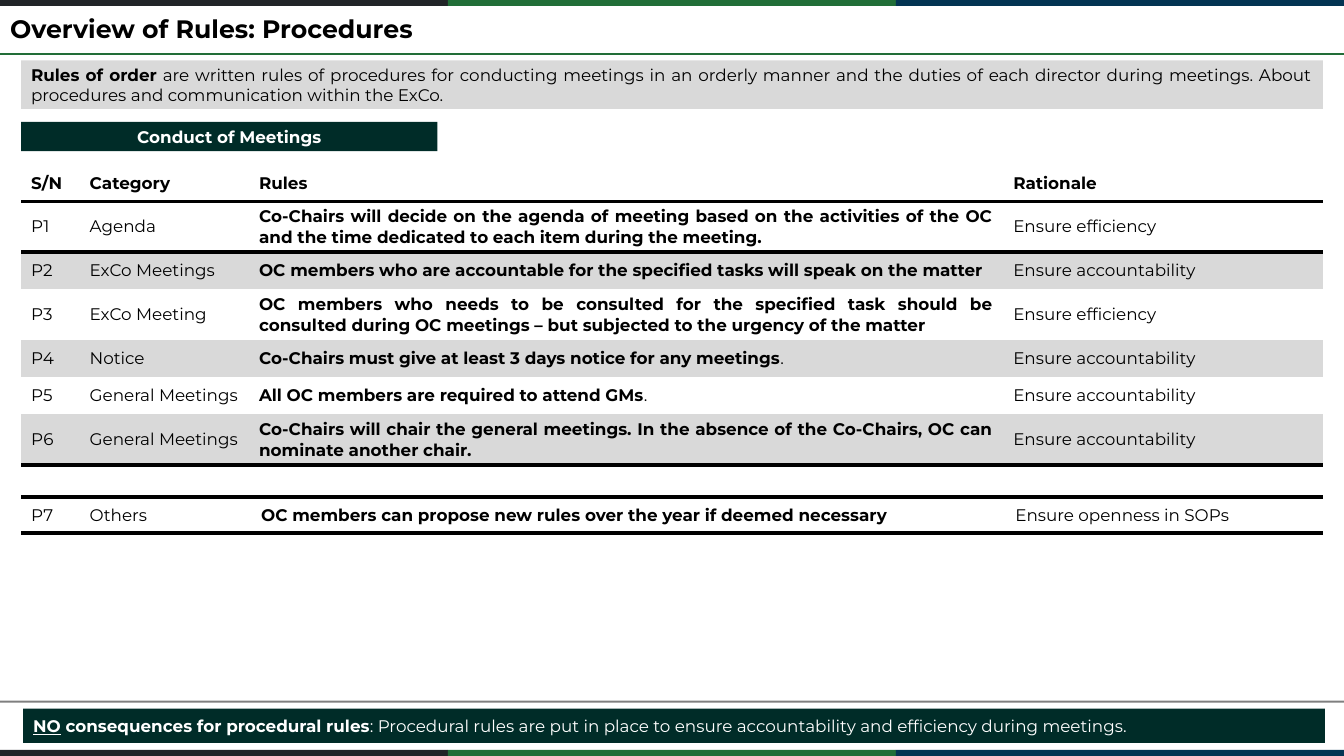
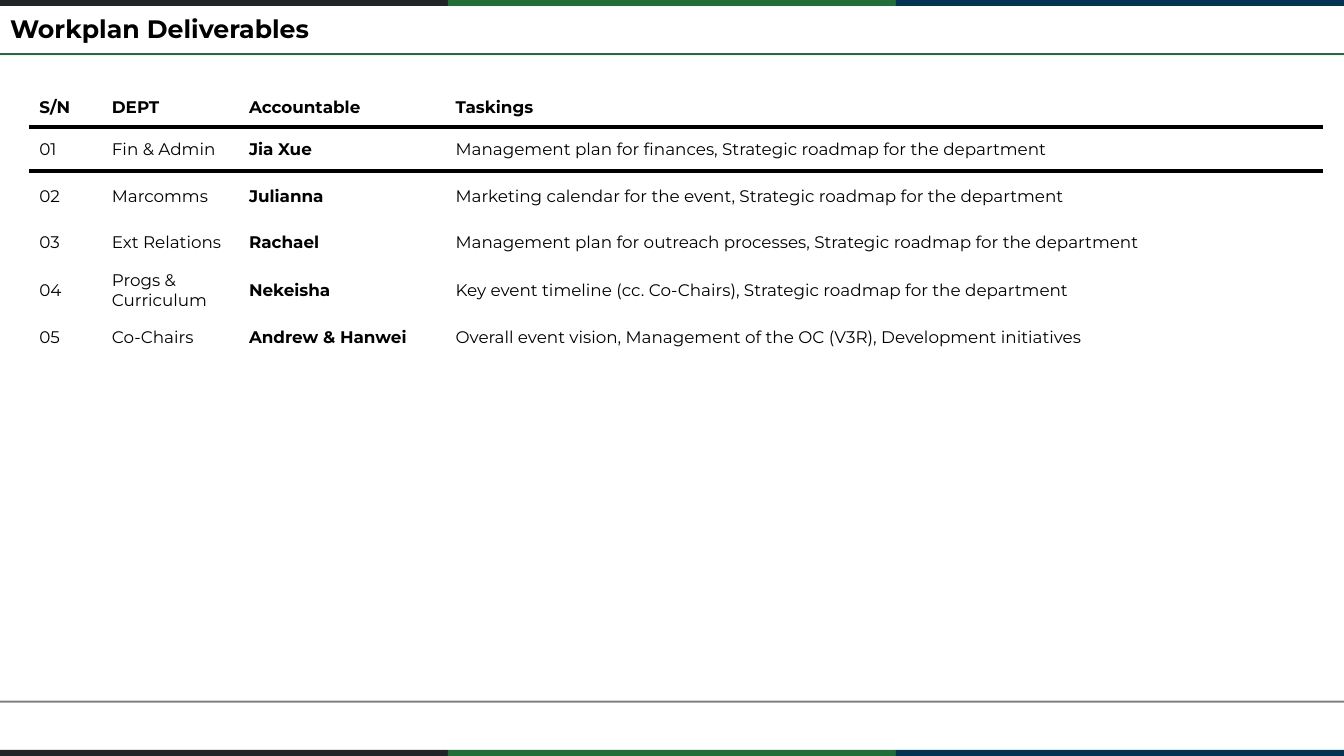
from lxml import etree
from pptx import Presentation
from pptx.dml.color import RGBColor
from pptx.enum.shapes import MSO_CONNECTOR, MSO_SHAPE
from pptx.enum.text import MSO_ANCHOR, PP_ALIGN
from pptx.oxml import parse_xml
from pptx.oxml.ns import nsdecls, qn
from pptx.util import Inches, Pt

RECTANGLE = MSO_SHAPE.RECTANGLE
STRAIGHT = MSO_CONNECTOR.STRAIGHT
MIDDLE = MSO_ANCHOR.MIDDLE
LEFT, CENTER, JUSTIFY = PP_ALIGN.LEFT, PP_ALIGN.CENTER, PP_ALIGN.JUSTIFY

BLACK = RGBColor(0x00, 0x00, 0x00)
WHITE = RGBColor(0xFF, 0xFF, 0xFF)
CHARCOAL = RGBColor(0x21, 0x25, 0x28)
GREEN = RGBColor(0x21, 0x6E, 0x38)
NAVY = RGBColor(0x03, 0x34, 0x53)
RULE_GREEN = RGBColor(0x22, 0x6D, 0x38)
DARK_GREEN = RGBColor(0x00, 0x2C, 0x28)
GREY = RGBColor(0xD9, 0xD9, 0xD9)

FONT = "Montserrat"
SLIDE_WIDTH, SLIDE_HEIGHT = 13.33, 7.5
BAND_HEIGHT = 0.06
PLAIN_TABLE_STYLE = "{2D5ABB26-0587-4C30-8999-92F81FD0307C}"
BOLD_COLUMN = 2

PROCEDURES = [
    ("S/N", "Category", "Rules", "Rationale"),
    ("P1", "Agenda",
     "Co-Chairs will decide on the agenda of meeting based on the activities of the OC "
     "and the time dedicated to each item during the meeting.", "Ensure efficiency"),
    ("P2", "ExCo Meetings",
     "OC members who are accountable for the specified tasks will speak on the matter",
     "Ensure accountability"),
    ("P3", "ExCo Meeting",
     "OC members who needs to be consulted for the specified task should be consulted "
     "during OC meetings – but subjected to the urgency of the matter", "Ensure efficiency"),
    ("P4", "Notice",
     [("Co-Chairs must give at least 3 days notice for any meetings", True), (".", False)],
     "Ensure accountability"),
    ("P5", "General Meetings",
     [("All OC members are required to attend GMs", True), (".", False)],
     "Ensure accountability"),
    ("P6", "General Meetings",
     "Co-Chairs will chair the general meetings. In the absence of the Co-Chairs, OC can "
     "nominate another chair.", "Ensure accountability"),
]
OTHER_PROCEDURES = [
    ("P7", "Others", "OC members can propose new rules over the year if deemed necessary",
     "Ensure openness in SOPs"),
]
DELIVERABLES = [
    ("S/N", "DEPT", "Accountable", "Taskings"),
    ("01", "Fin & Admin", "Jia Xue",
     "Management plan for finances, Strategic roadmap for the department"),
    ("02", "Marcomms", "Julianna",
     "Marketing calendar for the event, Strategic roadmap for the department"),
    ("03", "Ext Relations", "Rachael",
     "Management plan for outreach processes, Strategic roadmap for the department"),
    ("04", "Progs & Curriculum", "Nekeisha",
     "Key event timeline (cc. Co-Chairs), Strategic roadmap for the department"),
    ("05", "Co-Chairs", "Andrew & Hanwei",
     "Overall event vision, Management of the OC (V3R), Development initiatives"),
]


# Shared drawing helpers
def write_runs(paragraph, runs, color=BLACK, size=12, align=LEFT):
    """Add (text, bold[, underline]) runs to a paragraph."""
    paragraph.alignment = align
    for text, bold, *underline in runs:
        run = paragraph.add_run()
        run.text = text
        run.font.name = FONT
        run.font.size = Pt(size)
        run.font.bold = bold
        run.font.color.rgb = color
        if underline:
            run.font.underline = underline[0]


def add_bar(slide, left, top, width, height, fill, runs=(), color=BLACK, align=JUSTIFY):
    shape = slide.shapes.add_shape(
        RECTANGLE, Inches(left), Inches(top), Inches(width), Inches(height))
    shape.shadow.inherit = False
    shape.fill.solid()
    shape.fill.fore_color.rgb = fill
    shape.line.fill.background()
    if runs:
        frame = shape.text_frame
        frame.word_wrap = True
        frame.vertical_anchor = MIDDLE
        write_runs(frame.paragraphs[0], runs, color, align=align)


def add_rule(slide, top, color, opacity=100):
    rule = slide.shapes.add_connector(
        STRAIGHT, 0, Inches(top), Inches(SLIDE_WIDTH), Inches(top))
    rule.line.color.rgb = color
    rule.line.width = Pt(1.5)
    properties = rule._element.spPr
    if opacity < 100:
        fill_color = properties.find(".//" + qn("a:srgbClr"))
        etree.SubElement(fill_color, qn("a:alpha")).set("val", str(opacity * 1000))
    etree.SubElement(properties, qn("a:effectLst"))


def add_cell_border(cell, side):
    cell._tc.get_or_add_tcPr().insert(0, parse_xml(
        f'<a:ln{side} {nsdecls("a")} w="{Pt(3)}"><a:solidFill>'
        f'<a:srgbClr val="{BLACK}"/></a:solidFill></a:ln{side}>'))


def add_grid(slide, left, top, columns, heights, rows, header=True, banded=False,
             closed=False, bold_align=LEFT):
    """Table with heavy rules below the header and, if closed, at its outer edges."""
    table = slide.shapes.add_table(
        len(rows), len(columns), Inches(left), Inches(top),
        Inches(sum(columns)), Inches(sum(heights))).table
    table.first_row = header
    table.horz_banding = False
    table._tbl.tblPr.find(qn("a:tableStyleId")).text = PLAIN_TABLE_STYLE
    for column, width in zip(table.columns, columns):
        column.width = Inches(width)
    for row, height in zip(table.rows, heights):
        row.height = Inches(height)

    last = len(rows) - 1
    for row_index, row in enumerate(rows):
        is_header = header and row_index == 0
        for column_index, content in enumerate(row):
            cell = table.cell(row_index, column_index)
            cell.vertical_anchor = MIDDLE
            if banded and row_index and row_index % 2 == 0:
                cell.fill.solid()
                cell.fill.fore_color.rgb = GREY
            else:
                cell.fill.background()
            in_bold_column = column_index == BOLD_COLUMN
            if isinstance(content, str):
                content = [(content, is_header or in_bold_column)]
            justified = in_bold_column and not is_header
            write_runs(cell.text_frame.paragraphs[0], content,
                       align=bold_align if justified else LEFT)
            # Bottom goes in first: the top border must precede it
            if is_header or (closed and row_index == last):
                add_cell_border(cell, "B")
            if (header and row_index == 1) or (closed and not header and row_index == 0):
                add_cell_border(cell, "T")


def add_base_slide(presentation, title):
    """Blank slide with colour bands, rules and title."""
    slide = presentation.slides.add_slide(presentation.slide_layouts[6])
    band_width = SLIDE_WIDTH / 3
    for top in (0, SLIDE_HEIGHT - BAND_HEIGHT):
        for index, color in enumerate((CHARCOAL, GREEN, NAVY)):
            add_bar(slide, index * band_width, top, band_width, BAND_HEIGHT, color)
    add_rule(slide, 0.54, RULE_GREEN)
    add_rule(slide, 6.96, BLACK, opacity=50)

    box = slide.shapes.add_textbox(Inches(0.1), Inches(0.13), Inches(13.12), Inches(0.34))
    frame = box.text_frame
    frame.word_wrap = True
    frame.vertical_anchor = MIDDLE
    frame.margin_left = 0
    paragraph = frame.paragraphs[0]
    paragraph.line_spacing = 0.9
    write_runs(paragraph, [(title, True)], size=18)
    return slide


# Slides
def build_procedures(presentation):
    slide = add_base_slide(presentation, "Overview of Rules: Procedures")
    left, width = 0.21, 12.91
    add_bar(slide, left, 0.6, width, 0.48, GREY, [
        ("Rules of order", True),
        (" are written rules of procedures for conducting meetings in an orderly manner and "
         "the duties of each director during meetings. About procedures and communication "
         "within the ExCo.", False)])
    add_bar(slide, left, 1.21, 4.13, 0.29, DARK_GREEN,
            [("Conduct of Meetings", True)], WHITE, CENTER)
    add_grid(slide, left, 1.64, (0.58, 1.68, 7.48, 3.17),
             (0.36, 0.5, 0.37, 0.5, 0.37, 0.37, 0.5), PROCEDURES,
             banded=True, closed=True, bold_align=JUSTIFY)
    add_grid(slide, left, 4.93, (0.58, 1.7, 7.48, 3.15), (0.36,), OTHER_PROCEDURES,
             header=False, closed=True)
    add_bar(slide, 0.23, 7.03, width, 0.34, DARK_GREEN, [
        ("NO", True, True),
        (" consequences for procedural rules", True),
        (": Procedural rules are put in place to ensure accountability and efficiency "
         "during meetings.", False)], WHITE)


def build_deliverables(presentation):
    slide = add_base_slide(presentation, "Workplan Deliverables")
    add_grid(slide, 0.29, 0.88, (0.72, 1.36, 2.05, 8.7),
             (0.38, 0.44, 0.49, 0.44, 0.5, 0.44), DELIVERABLES)


def main():
    presentation = Presentation()
    presentation.slide_width = Inches(SLIDE_WIDTH)
    presentation.slide_height = Inches(SLIDE_HEIGHT)
    build_procedures(presentation)
    build_deliverables(presentation)
    presentation.save("out.pptx")


if __name__ == "__main__":
    main()
